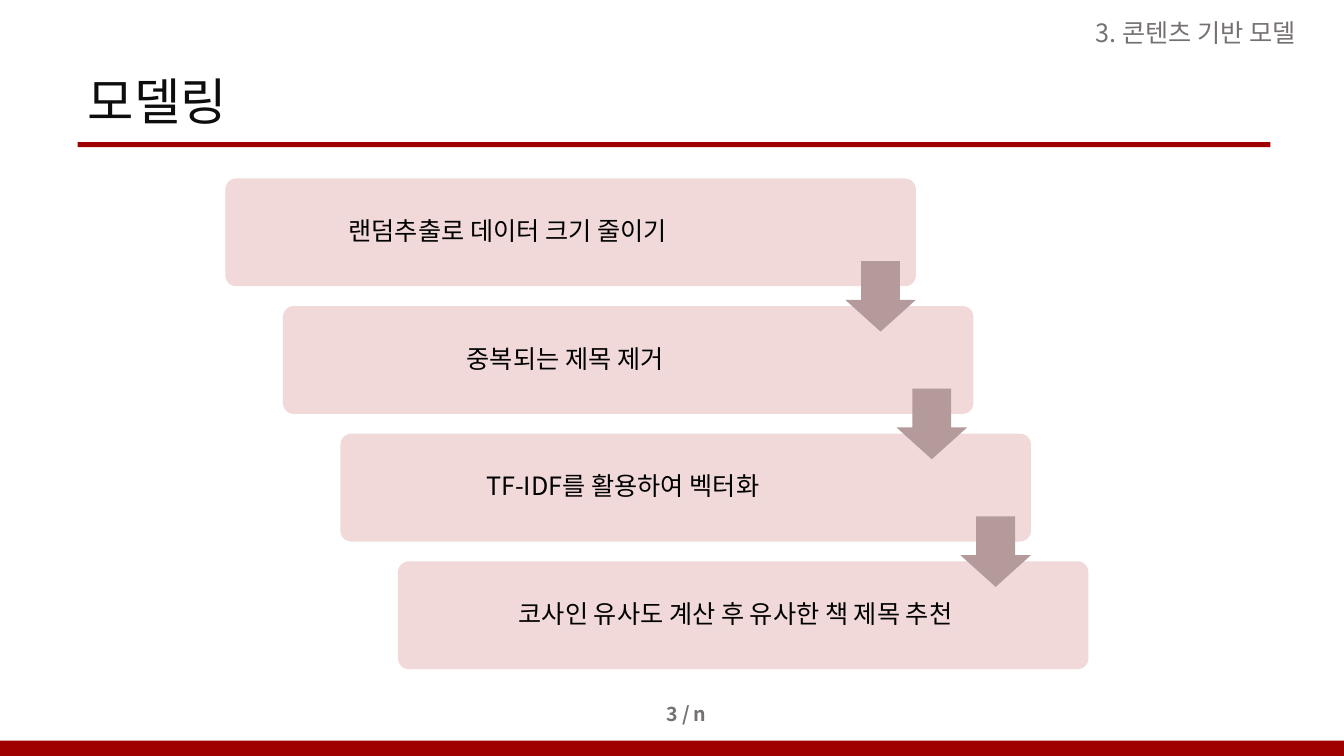
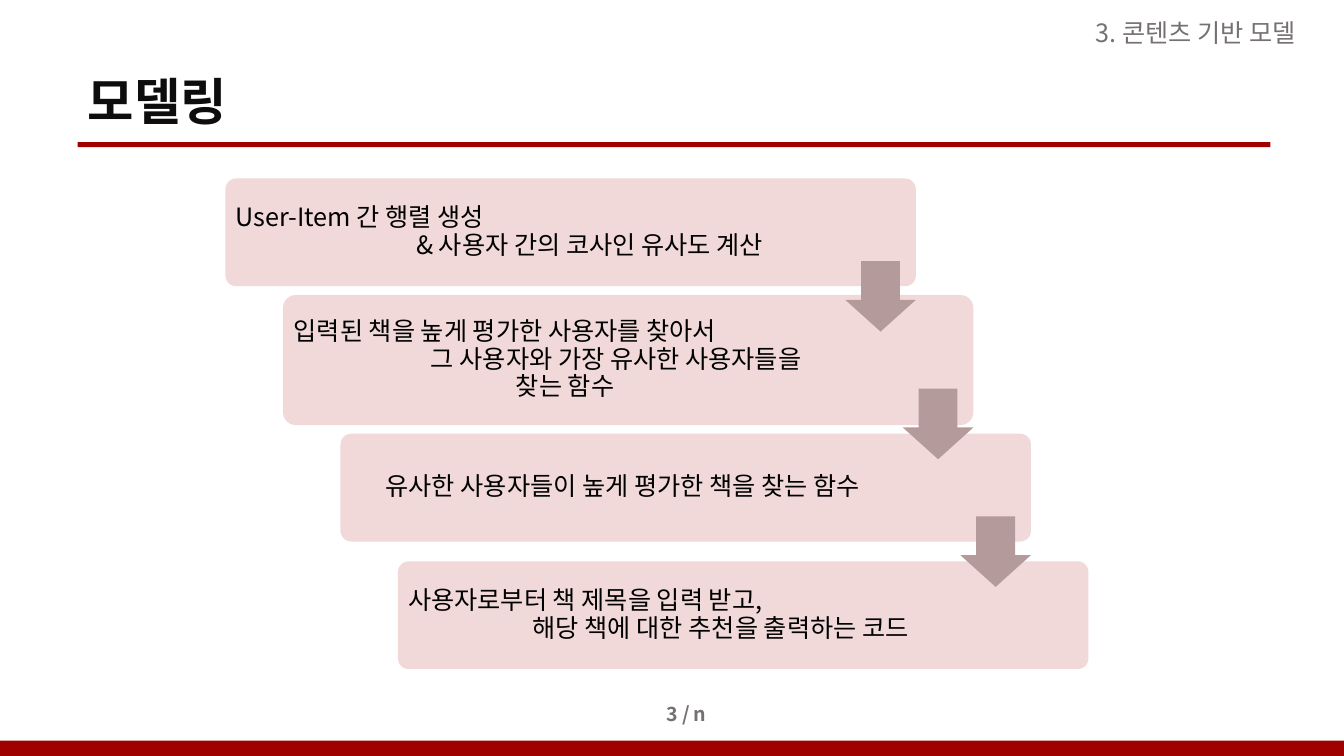
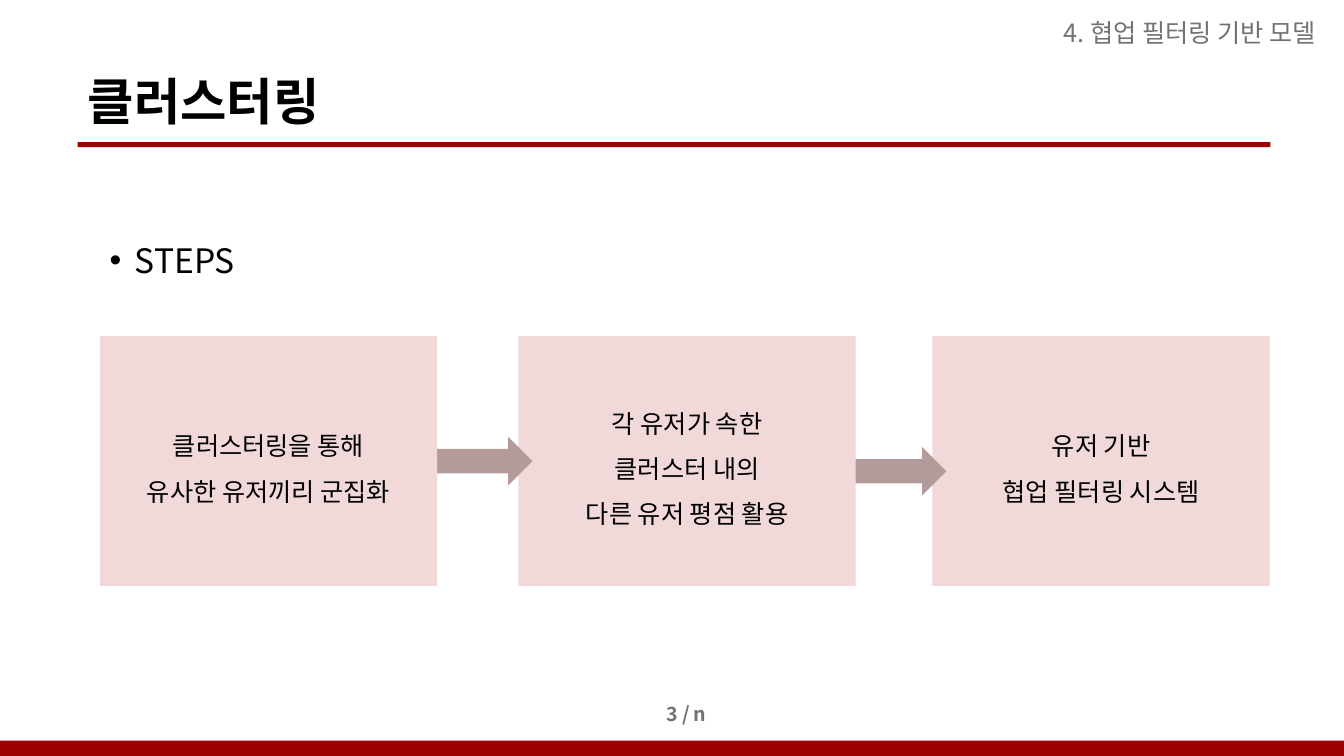
from lxml import etree
from pptx import Presentation
from pptx.dml.color import RGBColor
from pptx.enum import shapes, text
from pptx.oxml.ns import qn
from pptx.util import Pt

FONT = "Noto Sans CJK KR"
COLORS = {
    "brand": "9F0000",
    "panel": "F1D9D9",
    "arrow": "B49A9A",
    "muted": "767171",
    "title": "0D0D0D",
    "black": "000000",
}
SHAPE = shapes.MSO_SHAPE
ALIGN = text.PP_ALIGN
ANCHOR = text.MSO_ANCHOR


# Text and shape helpers
def add_run(p, words, size, color, bold=False):
    r = p.add_run()
    r.text = words
    r.font.size = Pt(size)
    r.font.bold = bold
    r.font.color.rgb = RGBColor.from_string(COLORS[color])
    r.font.name = FONT
    ea = etree.SubElement(r.font._element, qn("a:ea"))
    ea.set("typeface", FONT)
    return r


def add_lines(tf, lines, size, color, align=ALIGN.LEFT, spacing=1.0, bold=False):
    """Each line is a string, or an (indent, string) pair set from the left."""
    tf.word_wrap = True
    for i, line in enumerate(lines):
        p = tf.paragraphs[0] if i == 0 else tf.add_paragraph()
        p.alignment = align
        p.line_spacing = spacing
        p.space_before = p.space_after = Pt(0)
        if isinstance(line, tuple):
            indent, line = line
            p.alignment = ALIGN.LEFT
            p._p.get_or_add_pPr().set("marL", str(Pt(indent)))
        add_run(p, line, size, color, bold)


def add_block(slide, kind, box, color, adjustments=()):
    sp = slide.shapes.add_shape(kind, *map(Pt, box))
    sp.shadow.inherit = False
    sp.fill.solid()
    sp.fill.fore_color.rgb = RGBColor.from_string(COLORS[color])
    sp.line.fill.background()
    for i, value in enumerate(adjustments):
        sp.adjustments[i] = value
    return sp


def add_text(slide, box, anchor=ANCHOR.TOP):
    tf = slide.shapes.add_textbox(*map(Pt, box)).text_frame
    tf.vertical_anchor = anchor
    return tf


# Shared frame: title, section name, page number, rule and band
def add_frame(prs, title, section, section_left, title_color="title", bold=True):
    slide = prs.slides.add_slide(prs.slide_layouts[5])
    sp = slide.shapes.title
    sp.left, sp.top, sp.width, sp.height = map(Pt, (55.5, 13.7, 838.8, 83.5))
    sp.text_frame.vertical_anchor = ANCHOR.BOTTOM
    add_lines(sp.text_frame, [title], 36, title_color, spacing=0.9, bold=bold)

    tf = add_text(slide, (434, 498, 112.5, 24))
    add_lines(tf, ["3/n"], 14, "muted", ALIGN.CENTER, bold=True)
    tf.paragraphs[0].runs[0].font._element.set("spc", "300")

    add_block(slide, SHAPE.RECTANGLE, (0, 529, 960, 11), "brand")
    add_block(slide, SHAPE.RECTANGLE, (55.5, 101.5, 852, 3.6), "brand")

    tf = add_text(slide, (section_left, 0, 960 - section_left, 37.5), ANCHOR.BOTTOM)
    add_lines(tf, [section], 18, "muted", spacing=0.9)
    return slide


# Staircase of rounded steps joined by down arrows
def add_staircase(slide, box, steps, tall=None, arrow_shifts=(0, 0, 0)):
    left, top, width, height = box
    step_w, step_h, arrow = 493.2, 77, 50.4
    dx = (width - step_w) / (len(steps) - 1)
    dy = (height - step_h) / (len(steps) - 1)
    for i, (align, *lines) in enumerate(steps):
        extra = 16 if i == tall else 0
        place = (left + i * dx, top + i * dy - extra / 2, step_w, step_h + extra)
        sp = add_block(slide, SHAPE.ROUNDED_RECTANGLE, place, "panel", [0.1])
        tf = sp.text_frame
        tf.margin_left = tf.margin_top = tf.margin_bottom = Pt(5)
        tf.margin_right = Pt(95)
        tf.vertical_anchor = ANCHOR.MIDDLE
        add_lines(tf, lines, 18, "black", align, 0.9)
    for i, shift in enumerate(arrow_shifts):
        place = (left + i * dx + step_w - arrow + shift,
                 top + i * dy + step_h - 18, arrow, arrow)
        add_block(slide, SHAPE.DOWN_ARROW, place, "arrow", [0.55, 0.45])


# Row of panels, laid from right to left so each arrow starts under its panel
def add_panel_row(slide, box, panels):
    left, top, panel_w, height = box
    for x, arrow_dy, lines in reversed(panels):
        sp = add_block(slide, SHAPE.RECTANGLE, (left + x, top, panel_w, height), "panel")
        sp.text_frame.vertical_anchor = ANCHOR.MIDDLE
        add_lines(sp.text_frame, lines, 18, "black", ALIGN.CENTER, 1.5)
        if arrow_dy is not None:
            place = (left + x - 80, top + arrow_dy, 90, 34.8)
            add_block(slide, SHAPE.RIGHT_ARROW, place, "arrow")


def add_bullet(slide, box, words):
    tf = add_text(slide, box)
    pPr = tf.paragraphs[0]._p.get_or_add_pPr()
    pPr.set("marL", str(Pt(18)))
    pPr.set("indent", str(-Pt(18)))
    font = etree.SubElement(pPr, qn("a:buFont"))
    font.set("typeface", "Arial")
    etree.SubElement(pPr, qn("a:buChar")).set("char", "•")
    add_lines(tf, [words], 24, "black", spacing=1.5)


def main():
    prs = Presentation()
    prs.slide_width, prs.slide_height = Pt(960), Pt(540)
    content = ("3. 콘텐츠 기반 모델", 775.5)
    stairs = (161, 127.5, 616.5, 350.5)

    # Content-based steps
    slide = add_frame(prs, "모델링", *content, bold=False)
    add_staircase(slide, stairs, [
        (ALIGN.CENTER, "랜덤추출로 데이터 크기 줄이기"),
        (ALIGN.CENTER, "중복되는 제목 제거"),
        (ALIGN.CENTER, "TF-IDF를 활용하여 벡터화"),
        (ALIGN.RIGHT, "코사인 유사도 계산 후 유사한 책 제목 추천"),
    ], arrow_shifts=(0, -4.5, 0))

    # User similarity steps
    slide = add_frame(prs, "모델링", *content)
    add_staircase(slide, stairs, [
        (ALIGN.LEFT, "User-Item 간 행렬 생성",
         (129, "& 사용자 간의 코사인 유사도 계산")),
        (ALIGN.CENTER, (0, "입력된 책을 높게 평가한 사용자를 찾아서"),
         (98, "그 사용자와 가장 유사한 사용자들을"), "찾는 함수"),
        (ALIGN.CENTER, "유사한 사용자들이 높게 평가한 책을 찾는 함수"),
        (ALIGN.LEFT, "사용자로부터 책 제목을 입력 받고,",
         (89, "해당 책에 대한 추천을 출력하는 코드")),
    ], tall=1)

    # Clustering
    slide = add_frame(prs, "클러스터링", "4. 협업 필터링 기반 모델", 752.5, "black")
    add_bullet(slide, (71.3, 153.4, 171.4, 55.4), "STEPS")
    add_panel_row(slide, (71.3, 240, 241, 178.5), [
        (0, None, ["클러스터링을 통해", "유사한 유저끼리 군집화"]),
        (299, 72, ["각 유저가 속한", "클러스터 내의", "다른 유저 평점 활용"]),
        (594.7, 79.2, ["유저 기반", "협업 필터링 시스템"]),
    ])

    prs.save("out.pptx")


if __name__ == "__main__":
    main()
